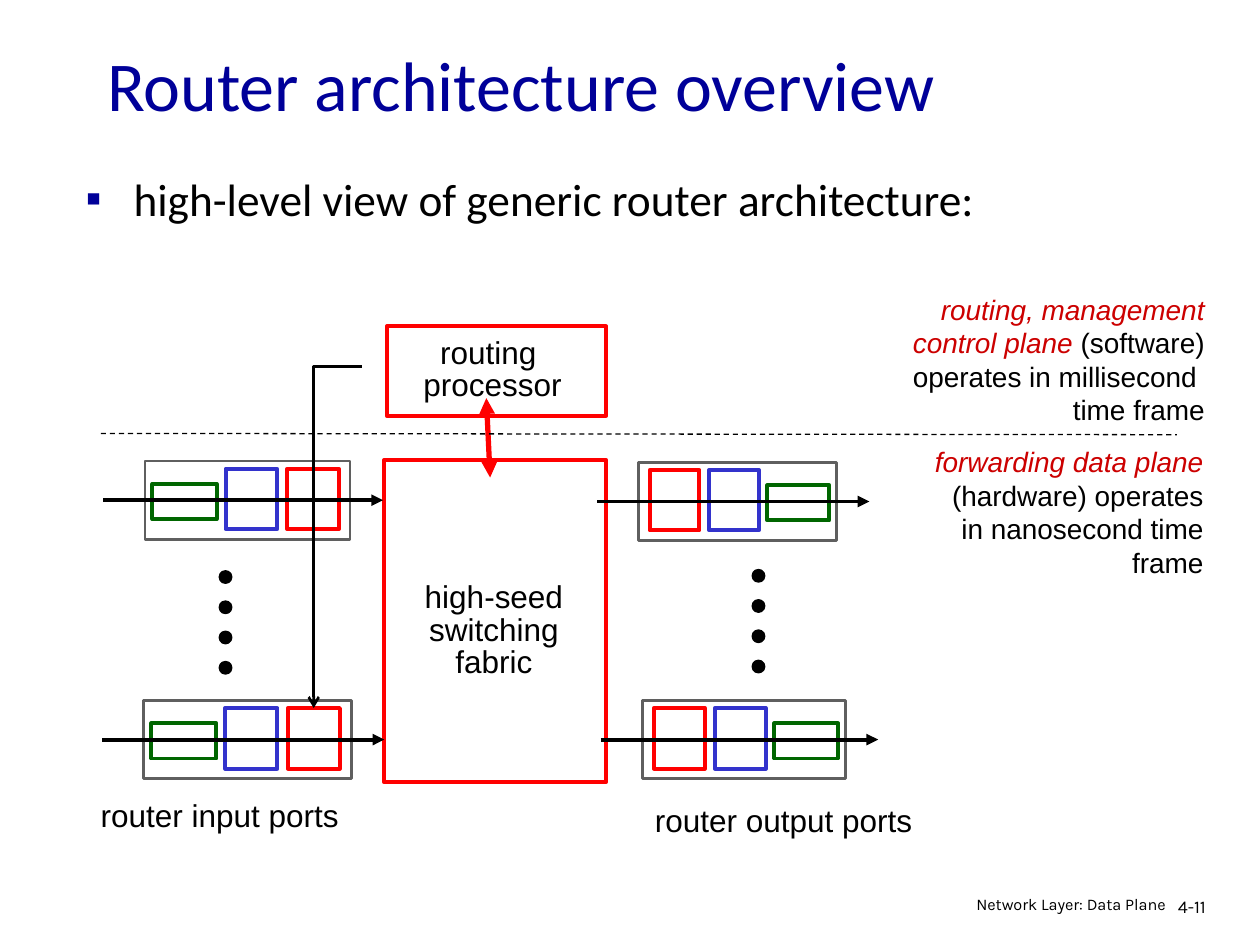
from dataclasses import dataclass

from lxml.etree import SubElement
from pptx import Presentation
from pptx.dml.color import RGBColor
from pptx.enum.dml import MSO_LINE
from pptx.enum.shapes import MSO_CONNECTOR, MSO_SHAPE
from pptx.enum.text import MSO_ANCHOR, MSO_AUTO_SIZE, PP_ALIGN
from pptx.oxml.ns import qn
from pptx.util import Inches, Pt


@dataclass(frozen=True)
class Theme:
    navy: str = "000099"
    black: str = "000000"
    white: str = "FFFFFF"
    red: str = "FF0000"
    blue: str = "3333CC"
    green: str = "006600"
    grey: str = "5F5F5F"
    accent: str = "CC0000"
    heading_font: str = "Calibri"
    label_font: str = "Arial"
    footer_font: str = "Karla"
    title_size: float = 40
    body_size: float = 25.9
    label_size: float = 18
    note_size: float = 16
    number_size: float = 10.2
    footer_size: float = 9.3


THEME = Theme()
PORT_WIDTH = 1.63
PORT_HEIGHT = 0.62
PORT_STAGES = (
    (0.06, 0.18, 0.51, 0.28, THEME.green),
    (0.64, 0.06, 0.41, 0.48, THEME.blue),
    (1.13, 0.06, 0.41, 0.48, THEME.red),
)


def rgb(value):
    return RGBColor.from_string(value)


def write_text(tf, paragraphs, *, size=THEME.label_size, font=THEME.label_font,
               color=THEME.black, align=PP_ALIGN.LEFT, spacing=1.0, wrap=True,
               anchor=MSO_ANCHOR.TOP, auto_size=MSO_AUTO_SIZE.NONE):
    tf.word_wrap = wrap
    tf.auto_size = auto_size
    tf.vertical_anchor = anchor
    for i, runs in enumerate(paragraphs):
        p = tf.paragraphs[0] if i == 0 else tf.add_paragraph()
        p.alignment = align
        p.line_spacing = spacing
        p.space_before = Pt(0)
        for text, accented in runs:
            r = p.add_run()
            r.text = text
            r.font.name = font
            r.font.size = Pt(size)
            r.font.italic = accented
            r.font.color.rgb = rgb(THEME.accent if accented else color)


def plain(*lines):
    return [[(line, False)] for line in lines]


def add_label(s, box, paragraphs, **fmt):
    sp = s.shapes.add_textbox(*map(Inches, box))
    write_text(sp.text_frame, paragraphs, **fmt)


def add_box(s, box, line, width=2.25, fill=THEME.white, shape=MSO_SHAPE.RECTANGLE):
    sp = s.shapes.add_shape(shape, *map(Inches, box))
    sp.shadow.inherit = False
    sp.fill.solid()
    sp.fill.fore_color.rgb = rgb(fill)
    sp.line.color.rgb = rgb(line)
    sp.line.width = Pt(width)


def add_line(s, start, end, *, color=THEME.black, width=2.25, head=None, tail=None,
             dash=None, kind=MSO_CONNECTOR.STRAIGHT):
    cxn = s.shapes.add_connector(kind, *map(Inches, (*start, *end)))
    cxn.line.color.rgb = rgb(color)
    cxn.line.width = Pt(width)
    if dash:
        cxn.line.dash_style = dash
    ln = cxn.line._get_or_add_ln()
    for tag, arrow in (("a:headEnd", head), ("a:tailEnd", tail)):
        if arrow:
            SubElement(ln, qn(tag), type=arrow)
    SubElement(cxn._element.spPr, qn("a:effectLst"))
    return cxn


def place(sp, box):
    sp.left, sp.top, sp.width, sp.height = map(Inches, box)


def fill_title(s, box):
    sp = s.shapes.title
    place(sp, box)
    write_text(sp.text_frame, plain("Router architecture overview"),
               size=THEME.title_size, font=THEME.heading_font, color=THEME.navy,
               anchor=MSO_ANCHOR.MIDDLE)


def fill_body(s, box):
    sp = s.placeholders[1]
    place(sp, box)
    tf = sp.text_frame
    pPr = tf.paragraphs[0]._p.get_or_add_pPr()
    pPr.set("marL", str(Inches(0.38)))
    pPr.set("indent", str(-Inches(0.38)))
    SubElement(SubElement(pPr, qn("a:buClr")), qn("a:srgbClr"), val=THEME.navy)
    SubElement(pPr, qn("a:buChar"), char="▪")
    write_text(tf, plain("high-level view of generic router architecture:"),
               size=THEME.body_size, font=THEME.heading_font, spacing=0.75)


def draw_unit(s, box, lines, label_box):
    add_box(s, box, THEME.red)
    add_label(s, label_box, plain(*lines), align=PP_ALIGN.CENTER, spacing=0.85,
              wrap=False, auto_size=MSO_AUTO_SIZE.SHAPE_TO_FIT_TEXT)


def draw_port(s, left, top, width, mirrored=False):
    scale = width / PORT_WIDTH
    add_box(s, (left, top, width, PORT_HEIGHT), THEME.grey, 1.5)
    for dx, dy, w, h, color in PORT_STAGES:
        x = PORT_WIDTH - dx - w if mirrored else dx
        add_box(s, (left + x * scale, top + dy, w * scale, h), color)
    middle = top + PORT_HEIGHT / 2
    add_line(s, (left - 0.33, middle), (left + width + 0.26, middle), tail="triangle")


def draw_dots(s, left, top, count=4, pitch=0.24, size=0.1):
    for i in range(count):
        add_box(s, (left, top + i * pitch, size, size), THEME.black, 0.75,
                THEME.black, MSO_SHAPE.OVAL)


def draw_ports(s, ports, dots, caption, caption_box, mirrored=False):
    for port in ports:
        draw_port(s, *port, mirrored=mirrored)
    draw_dots(s, *dots)
    add_label(s, caption_box, plain(caption), wrap=False,
              auto_size=MSO_AUTO_SIZE.SHAPE_TO_FIT_TEXT)


def draw_planes(s, control_box, data_box):
    add_line(s, (0.8, 3.44), (9.34, 3.45), width=0.75, dash=MSO_LINE.DASH)
    data = [[("forwarding data plane ", True),
             ("(hardware) operates in nanosecond time frame", False)]]
    control = [[("routing, management", True)],
               [("control plane ", True), ("(software)", False)],
               *plain("operates in millisecond ", "time frame")]
    for box, paragraphs in ((data_box, data), (control_box, control)):
        add_label(s, box, paragraphs, size=THEME.note_size, align=PP_ALIGN.RIGHT)


def draw_footer(s, number_box, name_box):
    add_label(s, number_box, plain("4-11"), size=THEME.number_size,
              font=THEME.footer_font, spacing=0.9)
    add_label(s, name_box, plain("Network Layer: Data Plane"), size=THEME.footer_size,
              font=THEME.footer_font, align=PP_ALIGN.RIGHT, spacing=0.8)


def main():
    prs = Presentation()
    prs.slide_width, prs.slide_height = Inches(10), Inches(7.5)
    s = prs.slides.add_slide(prs.slide_layouts[1])
    fill_title(s, (0.75, 0.33, 8.5, 0.67))
    fill_body(s, (0.58, 1.41, 8.5, 0.64))
    draw_unit(s, (3.05, 3.65, 1.76, 2.56), ("high-seed ", "switching", "fabric"),
              (3.24, 4.58, 1.36, 0.87))
    draw_unit(s, (3.07, 2.59, 1.74, 0.71), ("routing ", "processor"),
              (3.26, 2.64, 1.3, 0.61))
    add_line(s, (3.86, 3.16), (3.89, 3.79), color=THEME.red, width=3,
             head="triangle", tail="triangle")
    draw_ports(s, ((1.15, 3.66, 1.63), (1.14, 5.56, 1.65)), (1.74, 4.53),
               "router input ports", (0.7, 6.27, 2.09, 0.4))
    draw_ports(s, ((5.07, 3.67, 1.57), (5.1, 5.56, 1.61)), (5.97, 4.52),
               "router output ports", (5.1, 6.31, 2.24, 0.4), mirrored=True)
    draw_planes(s, (6.51, 2.27, 3.15, 1.17), (7.26, 3.48, 2.39, 1.17))
    control = add_line(s, (2.87, 2.91), (2.49, 5.62), width=1.5, tail="arrow",
                       kind=MSO_CONNECTOR.ELBOW)
    control._element.spPr.find(qn("a:prstGeom")).set("prst", "bentConnector2")
    draw_footer(s, (9.25, 7.08, 0.61, 0.3), (6.97, 7.08, 2.38, 0.26))
    prs.save("out.pptx")


if __name__ == "__main__":
    main()
